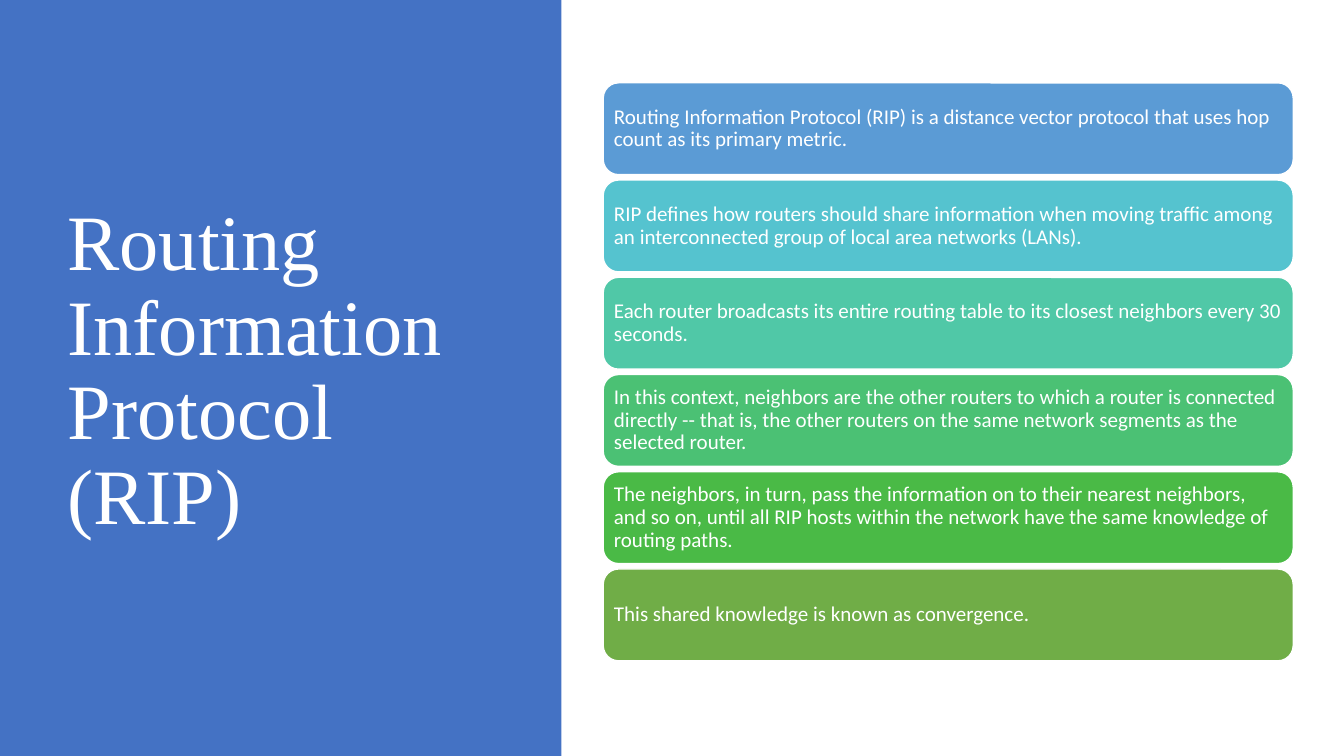
from dataclasses import dataclass

from pptx import Presentation
from pptx.dml.color import RGBColor
from pptx.enum.shapes import MSO_SHAPE as Shape
from pptx.enum.text import MSO_ANCHOR as Anchor, MSO_AUTO_SIZE as AutoSize, PP_ALIGN as Align
from pptx.shapes.autoshape import Shape as AutoShape
from pptx.slide import Slide
from pptx.util import Pt

WHITE = RGBColor(0xFF, 0xFF, 0xFF)
PANEL_BLUE = RGBColor(0x44, 0x72, 0xC4)
BLUE = RGBColor(0x5B, 0x9B, 0xD5)
CYAN = RGBColor(0x55, 0xC3, 0xCF)
TEAL = RGBColor(0x50, 0xC8, 0xA7)
MINT = RGBColor(0x4B, 0xC1, 0x74)
GREEN = RGBColor(0x4A, 0xBA, 0x46)
OLIVE = RGBColor(0x70, 0xAD, 0x47)

SLIDE_WIDTH, SLIDE_HEIGHT = 960, 540
CARD_LEFT, CARD_TOP = 430.9, 59.2
CARD_WIDTH, CARD_HEIGHT = 492.9, 65.6
CARD_PITCH = 69.45
CARD_INSET = 4.5


@dataclass(frozen=True)
class Card:
    text: str
    color: RGBColor


CARDS = [
    Card("Routing Information Protocol (RIP) is a distance vector protocol that uses hop "
         "count as its primary metric.", BLUE),
    Card("RIP defines how routers should share information when moving traffic among an "
         "interconnected group of local area networks (LANs).", CYAN),
    Card("Each router broadcasts its entire routing table to its closest neighbors every "
         "30 seconds.", TEAL),
    Card("In this context, neighbors are the other routers to which a router is connected "
         "directly -- that is, the other routers on the same network segments as the "
         "selected router.", MINT),
    Card("The neighbors, in turn, pass the information on to their nearest neighbors, and "
         "so on, until all RIP hosts within the network have the same knowledge of routing "
         "paths.", GREEN),
    Card("This shared knowledge is known as convergence.", OLIVE),
]


def write_text(shape: AutoShape, text: str, font_name: str, size: float) -> None:
    """Set one white, left-aligned, vertically centred paragraph."""
    frame = shape.text_frame
    frame.word_wrap = True
    frame.auto_size = AutoSize.NONE
    frame.vertical_anchor = Anchor.MIDDLE
    paragraph = frame.paragraphs[0]
    paragraph.alignment = Align.LEFT
    paragraph.line_spacing = 0.9
    run = paragraph.add_run()
    run.text = text
    run.font.name = font_name
    run.font.size = Pt(size)
    run.font.color.rgb = WHITE


def add_block(slide: Slide, kind: Shape, left: float, top: float,
              width: float, height: float, color: RGBColor) -> AutoShape:
    """Add a filled shape without shadow or outline."""
    shape = slide.shapes.add_shape(kind, Pt(left), Pt(top), Pt(width), Pt(height))
    shape.shadow.inherit = False
    shape.fill.solid()
    shape.fill.fore_color.rgb = color
    shape.line.fill.background()
    return shape


def add_title_panel(slide: Slide) -> None:
    title = slide.shapes.title
    title.left, title.top, title.width, title.height = Pt(41), Pt(49), Pt(299.5), Pt(433.4)
    write_text(title, "Routing Information Protocol (RIP)", "Times New Roman", 56)
    panel = add_block(slide, Shape.RECTANGLE, 0, 0, 401, SLIDE_HEIGHT, PANEL_BLUE)
    # The panel lies behind the title
    title.element.addprevious(panel.element)


def add_card(slide: Slide, card: Card, row: int) -> None:
    shape = add_block(slide, Shape.ROUNDED_RECTANGLE, CARD_LEFT, CARD_TOP + row * CARD_PITCH,
                      CARD_WIDTH, CARD_HEIGHT, card.color)
    shape.line.color.rgb = WHITE
    shape.line.width = Pt(1)
    frame = shape.text_frame
    frame.margin_left = frame.margin_right = Pt(CARD_INSET)
    frame.margin_top = frame.margin_bottom = Pt(CARD_INSET)
    write_text(shape, card.text, "Calibri", 15)


def main() -> None:
    presentation = Presentation()
    presentation.slide_width, presentation.slide_height = Pt(SLIDE_WIDTH), Pt(SLIDE_HEIGHT)
    slide = presentation.slides.add_slide(presentation.slide_layouts.get_by_name("Title Only"))

    # Left side: title on a blue panel
    add_title_panel(slide)

    # Right side: column of cards
    for row, card in enumerate(CARDS):
        add_card(slide, card, row)

    presentation.save("out.pptx")


if __name__ == "__main__":
    main()
